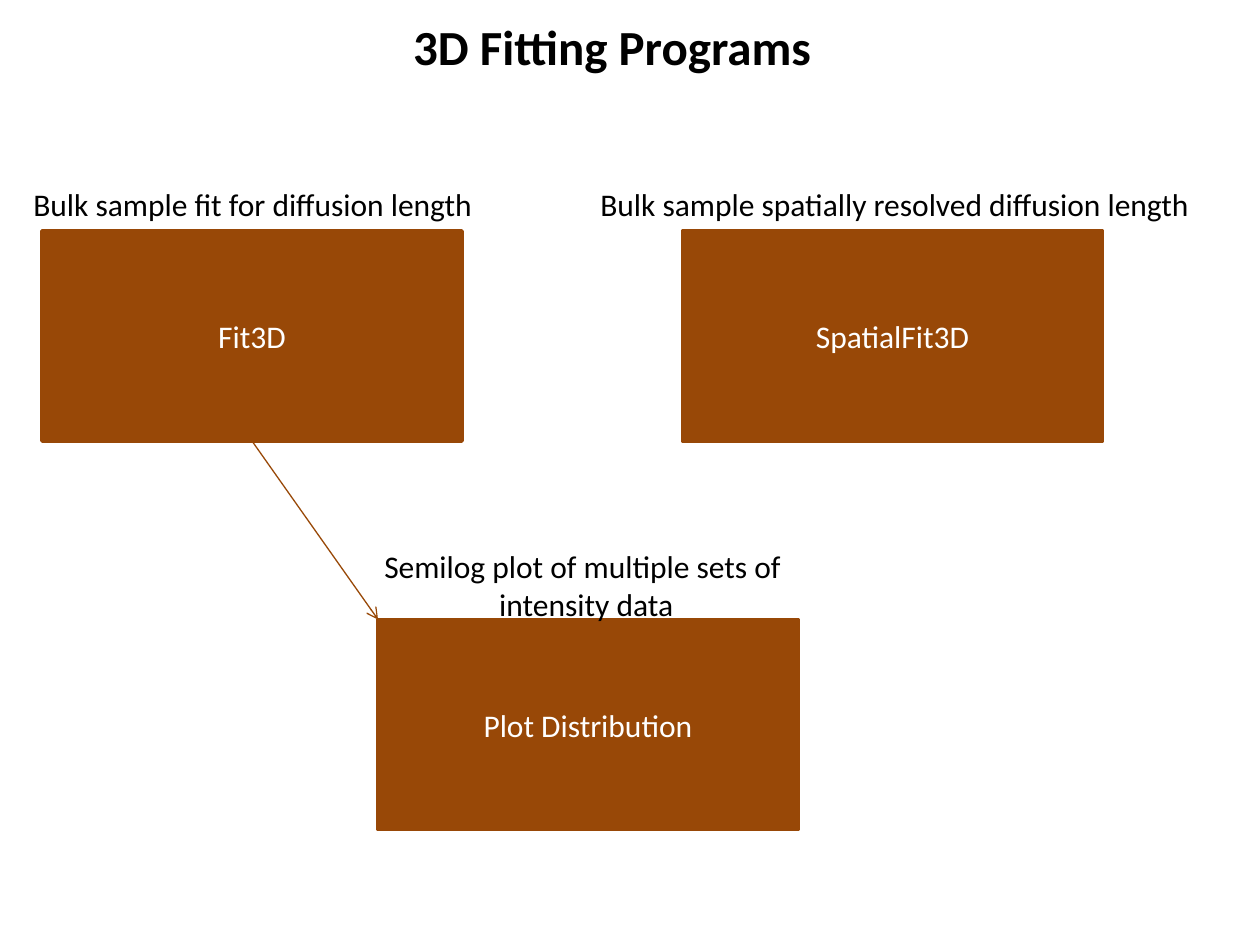
"""Build a slide that maps the 3D fitting programs."""
from dataclasses import dataclass

from lxml import etree
from pptx import Presentation
from pptx.dml.color import RGBColor
from pptx.enum.shapes import MSO_CONNECTOR, MSO_SHAPE
from pptx.enum.text import MSO_ANCHOR, MSO_AUTO_SIZE, PP_ALIGN
from pptx.oxml.ns import qn
from pptx.slide import Slide
from pptx.text.text import TextFrame
from pptx.util import Pt

BROWN = RGBColor(0x98, 0x48, 0x07)
BLACK = RGBColor(0, 0, 0)
WHITE = RGBColor(255, 255, 255)
FONT = "Calibri"
RECTANGLE = MSO_SHAPE.RECTANGLE
STRAIGHT = MSO_CONNECTOR.STRAIGHT
MIDDLE = MSO_ANCHOR.MIDDLE
GROW = MSO_AUTO_SIZE.SHAPE_TO_FIT_TEXT
LEFT, CENTER = PP_ALIGN.LEFT, PP_ALIGN.CENTER
PROGRAM_WIDTH, PROGRAM_HEIGHT = 240, 120


@dataclass(frozen=True)
class Program:
    name: str
    left: float
    top: float


@dataclass(frozen=True)
class Caption:
    lines: tuple[str, ...]
    left: float
    top: float
    width: float
    height: float
    size: float = 18
    bold: bool = False
    wrap: bool = False
    align: PP_ALIGN = LEFT


FIT = Program("Fit3D", 24, 132)
SPATIAL_FIT = Program("SpatialFit3D", 390, 132)
DISTRIBUTION = Program("Plot Distribution", 216, 354)
PROGRAMS = (FIT, SPATIAL_FIT, DISTRIBUTION)

CAPTIONS = (
    Caption(("3D Fitting Programs",), 229, 6, 245.5, 41, size=28, bold=True),
    Caption(("Bulk sample fit for diffusion length",), 12, 102, 268.5, 29),
    Caption(("Bulk sample spatially resolved diffusion length",), 336, 102, 355, 29),
    Caption(("Semilog plot of multiple sets of", " intensity data"),
            138, 309, 390, 51, wrap=True, align=CENTER),
)


def write_lines(frame: TextFrame, lines: tuple[str, ...], color: RGBColor,
                align: PP_ALIGN, size: float = 18, bold: bool = False) -> None:
    for index, line in enumerate(lines):
        paragraph = frame.add_paragraph() if index else frame.paragraphs[0]
        paragraph.alignment = align
        run = paragraph.add_run()
        run.text = line
        run.font.name = FONT
        run.font.size = Pt(size)
        run.font.bold = bold
        run.font.color.rgb = color


def draw_program(slide: Slide, program: Program) -> None:
    box = slide.shapes.add_shape(RECTANGLE, Pt(program.left), Pt(program.top),
                                 Pt(PROGRAM_WIDTH), Pt(PROGRAM_HEIGHT))
    box.shadow.inherit = False
    box.fill.solid()
    box.fill.fore_color.rgb = BROWN
    box.line.color.rgb = BROWN
    box.line.width = Pt(2)
    box.text_frame.vertical_anchor = MIDDLE
    write_lines(box.text_frame, (program.name,), WHITE, CENTER)


def draw_caption(slide: Slide, caption: Caption) -> None:
    label = slide.shapes.add_textbox(Pt(caption.left), Pt(caption.top),
                                     Pt(caption.width), Pt(caption.height))
    frame = label.text_frame
    frame.word_wrap = caption.wrap
    frame.auto_size = GROW
    write_lines(frame, caption.lines, BLACK, caption.align, caption.size, caption.bold)


def draw_arrow(slide: Slide, source: Program, target: Program) -> None:
    arrow = slide.shapes.add_connector(
        STRAIGHT, Pt(source.left + PROGRAM_WIDTH / 2), Pt(source.top + PROGRAM_HEIGHT),
        Pt(target.left), Pt(target.top))
    arrow.line.color.rgb = BROWN
    arrow.line.width = Pt(0.75)
    properties = arrow.element.spPr
    outline = properties.find(qn("a:ln"))
    etree.SubElement(outline, qn("a:tailEnd"), type="arrow")
    etree.SubElement(properties, qn("a:effectLst"))


def main() -> None:
    deck = Presentation()
    deck.slide_width, deck.slide_height = Pt(720), Pt(540)
    slide = deck.slides.add_slide(deck.slide_layouts[6])
    for program in PROGRAMS:
        draw_program(slide, program)
    draw_arrow(slide, FIT, DISTRIBUTION)
    for caption in CAPTIONS:
        draw_caption(slide, caption)
    deck.save("out.pptx")


main()
